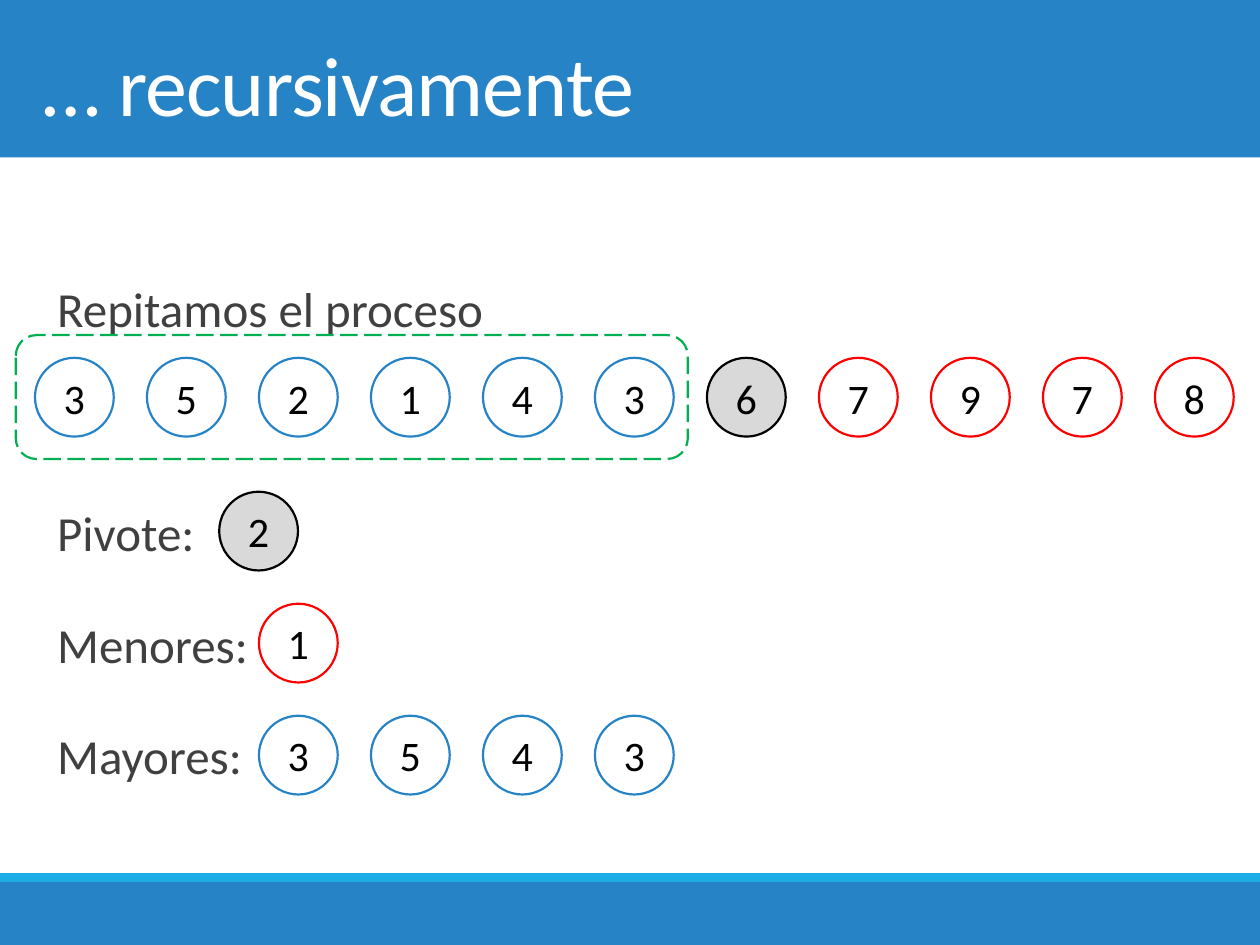
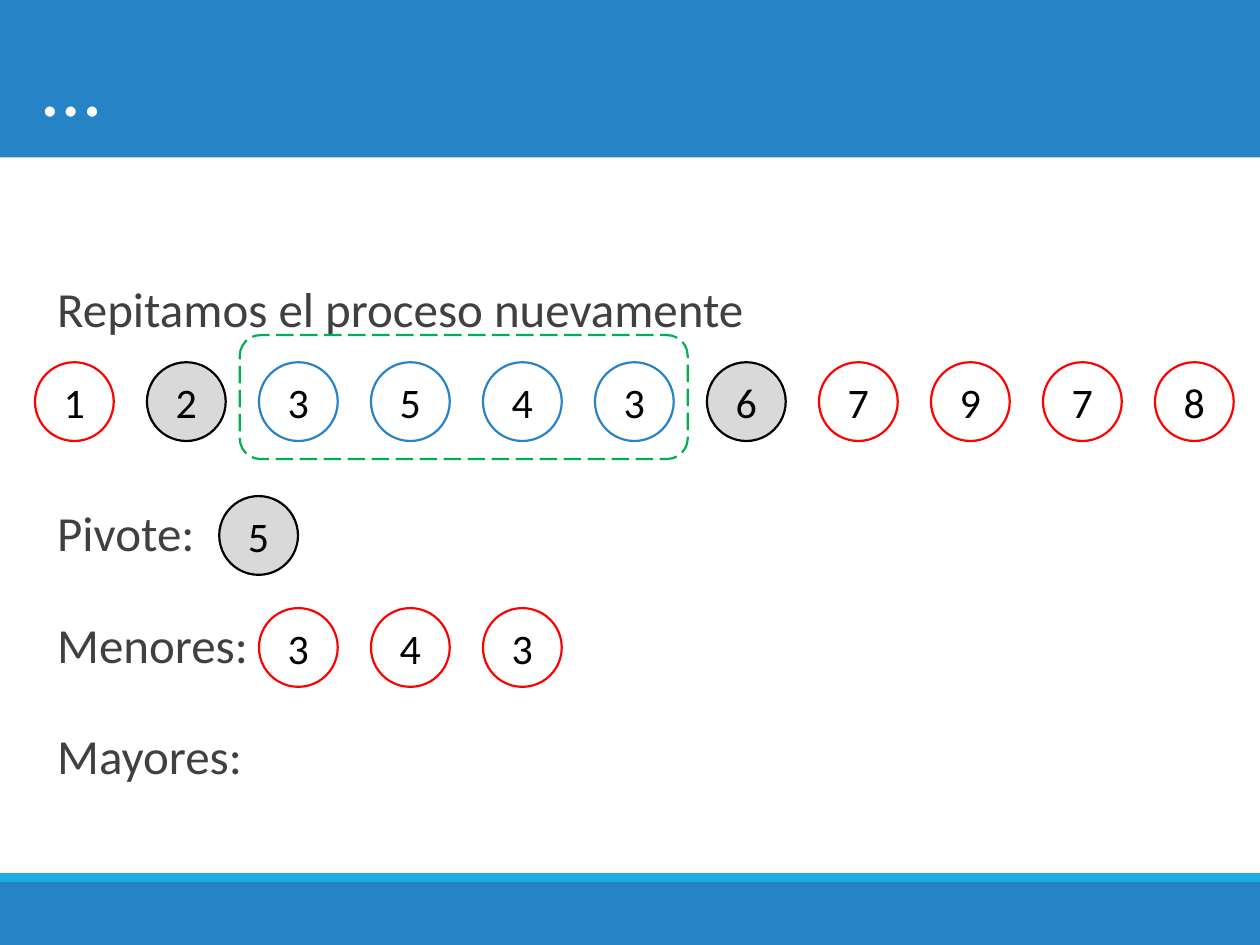
from pptx import Presentation
from pptx.dml.color import RGBColor
from pptx.enum.dml import MSO_LINE_DASH_STYLE as Dash
from pptx.enum.shapes import MSO_SHAPE as Shape
from pptx.enum.text import MSO_ANCHOR as Anchor, PP_ALIGN as Align
from pptx.util import Pt

BLUE = RGBColor(0x26, 0x83, 0xC6)
CYAN = RGBColor(0x1C, 0xAD, 0xE4)
RED = RGBColor(0xFF, 0x00, 0x00)
GREEN = RGBColor(0x00, 0xB0, 0x50)
GRAY = RGBColor(0xD9, 0xD9, 0xD9)
DARK = RGBColor(0x40, 0x40, 0x40)
BLACK = RGBColor(0x00, 0x00, 0x00)
WHITE = RGBColor(0xFF, 0xFF, 0xFF)

FONT = "Calibri"
WIDTH, HEIGHT = 720, 540
BANDS = [(0, 90, BLUE), (504, 36, BLUE), (499, 5, CYAN)]
FIRST_X, STEP, DIAMETER = 20, 64, 45
PIVOT_X, PIVOT_DROP, SMALLER_DROP, LARGER_DROP = 125.3, 76.5, 140.5, 204.5
GROUP_COLUMN = 2
LABEL_GAPS = [0, 94.4, 30.3, 30.3]
LABELS = ["Pivote:", "Menores:", "Mayores:"]
STYLES = {"pivot": (GRAY, BLACK), "smaller": (WHITE, RED), "larger": (WHITE, BLUE)}


def write(frame, lines, size=24, color=BLACK, align=Align.LEFT, anchor=Anchor.MIDDLE,
          margins=(0, 0, 0, 0), gaps=(0,), wrap=True, tracking=None):
    frame.word_wrap = wrap
    frame.vertical_anchor = anchor
    frame.margin_left, frame.margin_top, frame.margin_right, frame.margin_bottom = map(Pt, margins)
    for index, (line, gap) in enumerate(zip(lines, gaps)):
        paragraph = frame.add_paragraph() if index else frame.paragraphs[0]
        paragraph.alignment = align
        paragraph.line_spacing = 1.0
        paragraph.space_before = Pt(gap)
        run = paragraph.add_run()
        run.text = line
        run.font.name = FONT
        run.font.size = Pt(size)
        run.font.color.rgb = color
        if tracking is not None:
            run.font._element.set("spc", str(tracking))


def add_outline(slide, kind, left, top, width, height, fill=None, line=None):
    shape = slide.shapes.add_shape(kind, Pt(left), Pt(top), Pt(width), Pt(height))
    shape.shadow.inherit = False
    if fill is None:
        shape.fill.background()
    else:
        shape.fill.solid()
        shape.fill.fore_color.rgb = fill
    if line is None:
        shape.line.fill.background()
    else:
        shape.line.color.rgb = line
        shape.line.width = Pt(1.25)
    return shape


def add_base(prs, heading):
    slide = prs.slides.add_slide(prs.slide_layouts[5])
    for top, height, color in BANDS:
        add_outline(slide, Shape.RECTANGLE, 0, top, WIDTH, height, fill=color)
    title = slide.shapes.title
    slide.shapes.element.append(title.element)
    title.left, title.top, title.width, title.height = Pt(20), Pt(0), Pt(680), Pt(90)
    write(title.text_frame, [heading], size=48, color=WHITE,
          margins=(4.5, 5.2, 4.5, 0), tracking=-50)
    return slide


def add_labels(slide, intro):
    box = slide.shapes.add_textbox(Pt(32.7), Pt(159), Pt(660), Pt(294))
    write(box.text_frame, [intro, *LABELS], size=28, color=DARK,
          anchor=Anchor.TOP, gaps=LABEL_GAPS)


def column_x(column):
    return FIRST_X + STEP * column


def add_number(slide, number, left, top, role):
    fill, line = STYLES[role]
    circle = add_outline(slide, Shape.OVAL, left, top, DIAMETER, DIAMETER, fill, line)
    write(circle.text_frame, [str(number)], align=Align.CENTER, wrap=False)


def add_numbers(slide, numbers, top, role, start):
    for column, number in enumerate(numbers, start):
        add_number(slide, number, column_x(column), top, role)


def add_active_range(slide, first, last):
    left = column_x(first) - 11
    right = column_x(last) + DIAMETER + 8
    frame = add_outline(slide, Shape.ROUNDED_RECTANGLE, left, 191.5,
                        right - left, 70.8, line=GREEN)
    frame.line.dash_style = Dash.LONG_DASH


def add_step(prs, heading, intro, row_top, array, active, pivot, smaller, larger):
    slide = add_base(prs, heading)
    add_labels(slide, intro)
    add_number(slide, pivot, PIVOT_X, row_top + PIVOT_DROP, "pivot")
    add_numbers(slide, smaller, row_top + SMALLER_DROP, "smaller", GROUP_COLUMN)
    add_numbers(slide, larger, row_top + LARGER_DROP, "larger", GROUP_COLUMN)
    start = 0
    for role, numbers in array:
        add_numbers(slide, numbers, row_top, role, start)
        start += len(numbers)
    add_active_range(slide, *active)


def main():
    prs = Presentation()
    prs.slide_width, prs.slide_height = Pt(WIDTH), Pt(HEIGHT)
    sorted_tail = [("pivot", [6]), ("smaller", [7, 9, 7, 8])]
    add_step(prs, "… recursivamente", "Repitamos el proceso", 204.5,
             array=[("larger", [3, 5, 2, 1, 4, 3]), *sorted_tail],
             active=(0, 5), pivot=2, smaller=[1], larger=[3, 5, 4, 3])
    add_step(prs, "…", "Repitamos el proceso nuevamente", 207,
             array=[("smaller", [1]), ("pivot", [2]), ("larger", [3, 5, 4, 3]), *sorted_tail],
             active=(2, 5), pivot=5, smaller=[3, 4, 3], larger=[])
    prs.save("out.pptx")


if __name__ == "__main__":
    main()
